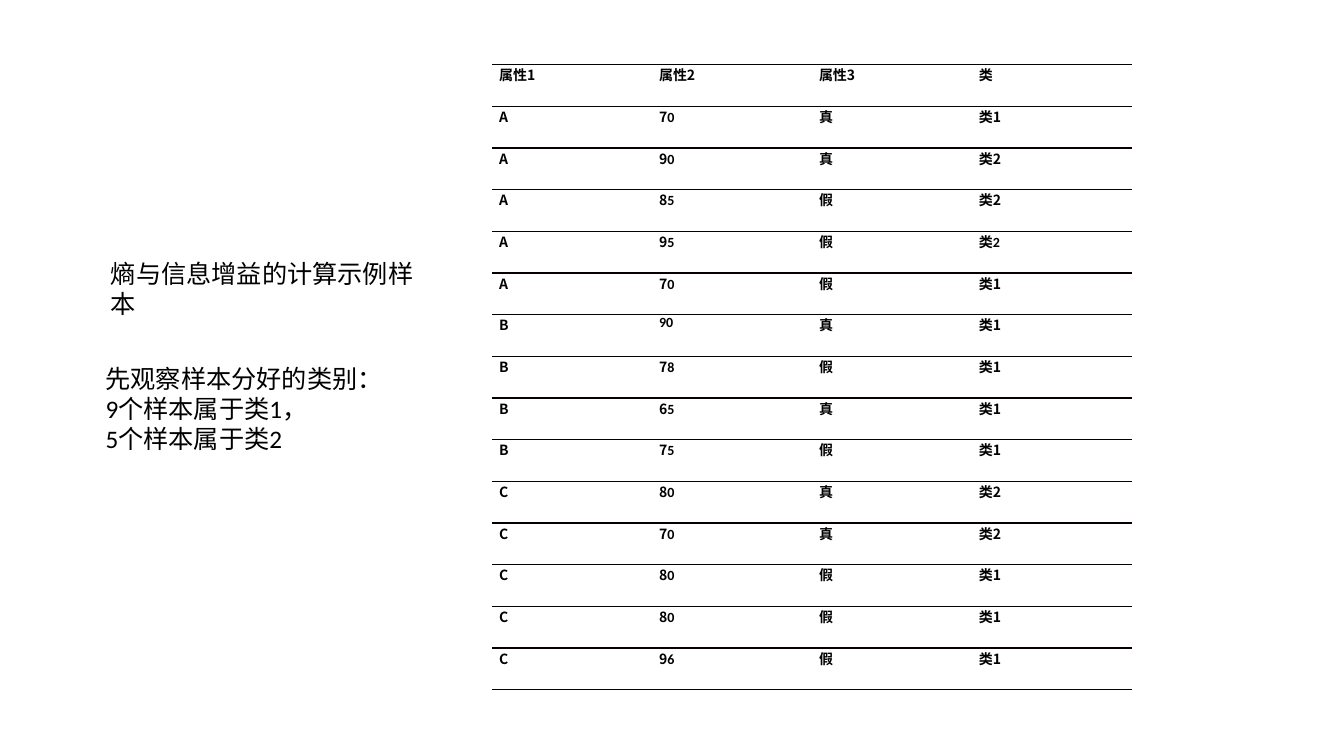
from lxml.etree import SubElement
from pptx import Presentation
from pptx.dml.color import RGBColor
from pptx.enum.text import MSO_ANCHOR, MSO_AUTO_SIZE, PP_ALIGN
from pptx.oxml import parse_xml
from pptx.oxml.ns import nsdecls, qn
from pptx.util import Cm, Pt

# Content
HEADING = "熵与信息增益的计算示例样本"
NOTES = ["先观察样本分好的类别：", "9个样本属于类1，", "5个样本属于类2"]
HEADER = ("属性1", "属性2", "属性3", "类")
# A "|" marks where the digits change to the text font
SAMPLES = [
    ("A", "7|0", "真", "类1"),
    ("A", "9|0", "真", "类2"),
    ("A", "8|5", "假", "类2"),
    ("A", "9|5", "假", "类|2"),
    ("A", "7|0", "假", "类1"),
    ("B", "|90", "真", "类1"),
    ("B", "7|8", "假", "类1"),
    ("B", "6|5", "真", "类1"),
    ("B", "7|5", "假", "类1"),
    ("C", "8|0", "真", "类2"),
    ("C", "7|0", "真", "类2"),
    ("C", "8|0", "假", "类1"),
    ("C", "8|0", "假", "类1"),
    ("C", "9|6", "假", "类1"),
]

COLORS = {"text": "000000", "rule": "080000"}
TEXT_FONT, TABLE_FONT = "Calibri", "Noto Sans CJK SC"
TABLE_LEFT, TABLE_TOP = Cm(12.4), Cm(1.63)
COLUMN_WIDTH, ROW_HEIGHT = Cm(4.03), Cm(1.05)


def set_font(font, name, size, bold=False):
    font.name, font.size, font.bold = name, Pt(size), bold
    font.color.rgb = RGBColor.from_string(COLORS["text"])


def set_east_asian(span, name):
    SubElement(span._r.get_or_add_rPr(), qn("a:ea")).set("typeface", name)


def fill_text(shape, lines):
    frame = shape.text_frame
    frame.text = "\n".join(lines)
    frame.word_wrap = False
    frame.auto_size = MSO_AUTO_SIZE.SHAPE_TO_FIT_TEXT
    frame.vertical_anchor = MSO_ANCHOR.TOP
    for para in frame.paragraphs:
        para.alignment = PP_ALIGN.LEFT
        set_font(para.font, TEXT_FONT, 18)
        for span in para.runs:
            set_east_asian(span, TEXT_FONT)


def rule_cell(cell):
    """Rules above and below, nothing at the sides."""
    rule = f'<a:solidFill><a:srgbClr val="{COLORS["rule"]}"/></a:solidFill>'
    sides = {"lnL": "<a:noFill/>", "lnR": "<a:noFill/>", "lnT": rule, "lnB": rule}
    properties = cell._tc.get_or_add_tcPr()
    for position, (side, paint) in enumerate(sides.items()):
        line = f'<a:{side} {nsdecls("a")} w="{Pt(1)}">{paint}</a:{side}>'
        properties.insert(position, parse_xml(line))


def fill_cell(cell, text):
    cell.margin_left = cell.margin_right = Cm(0.18)
    cell.margin_top = cell.margin_bottom = 0
    cell.fill.background()
    rule_cell(cell)
    para = cell.text_frame.paragraphs[0]
    for part, name in zip(text.split("|"), (TABLE_FONT, TEXT_FONT)):
        if part:
            span = para.add_run()
            span.text = part
            set_font(span.font, name, 10, bold=True)
            set_east_asian(span, TABLE_FONT)


def main():
    deck = Presentation()
    deck.slide_width, deck.slide_height = Cm(33.87), Cm(19.05)
    page = deck.slides.add_slide(deck.slide_layouts[5])

    # Sample table
    rows = [HEADER, *SAMPLES]
    table = page.shapes.add_table(
        len(rows), len(HEADER), TABLE_LEFT, TABLE_TOP,
        COLUMN_WIDTH * len(HEADER), ROW_HEIGHT * len(rows)).table
    table.first_row = table.horz_banding = False
    for column in table.columns:
        column.width = COLUMN_WIDTH
    for row, texts in zip(table.rows, rows):
        row.height = ROW_HEIGHT
        for cell, text in zip(row.cells, texts):
            fill_cell(cell, text)

    # Heading
    title = page.shapes.title
    title.left, title.top, title.width, title.height = Cm(2.54), Cm(6.38), Cm(8.76), Cm(1.02)
    fill_text(title, [HEADING])

    # Class counts
    box = page.shapes.add_textbox(Cm(2.41), Cm(9.02), Cm(7.49), Cm(2.57))
    fill_text(box, NOTES)

    deck.save("out.pptx")


if __name__ == "__main__":
    main()
